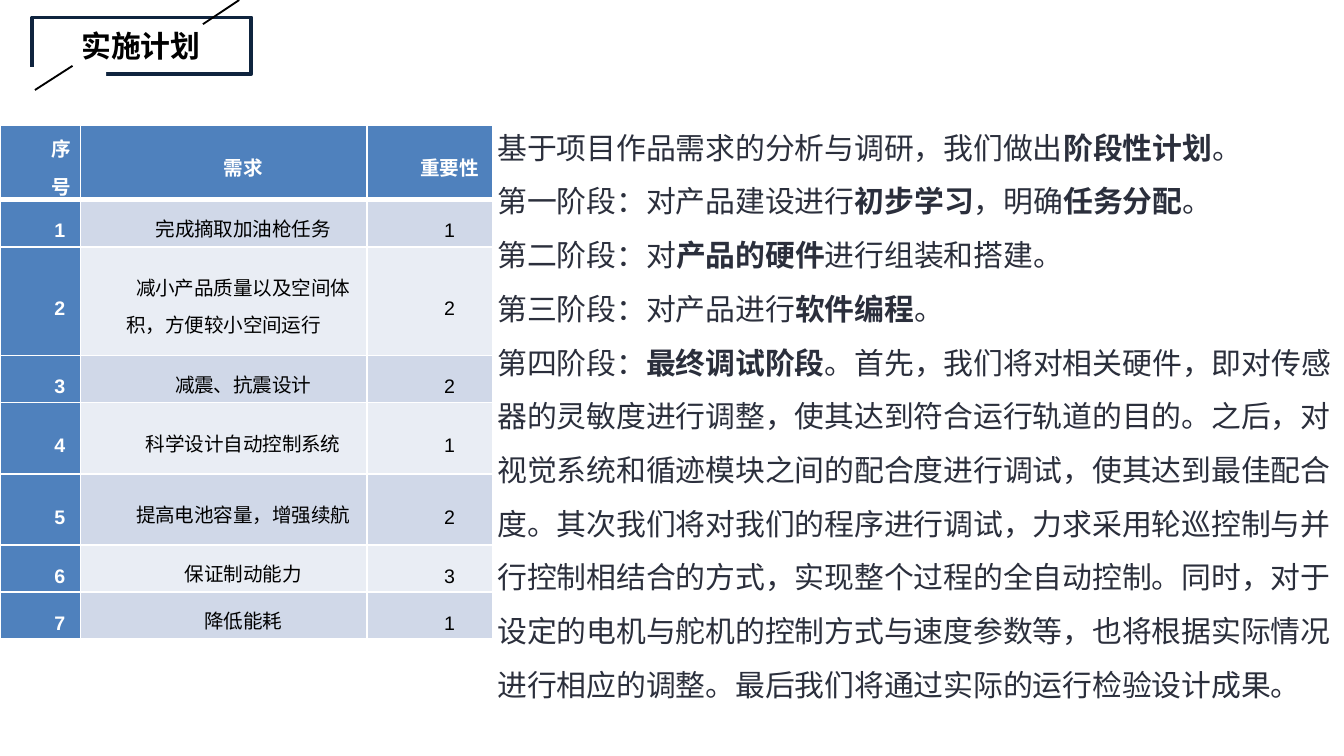
"""Build the implementation plan slide with its table of needs."""
from lxml.etree import SubElement
from pptx import Presentation
from pptx.dml.color import RGBColor
from pptx.enum.shapes import MSO_CONNECTOR, MSO_SHAPE
from pptx.enum.text import MSO_ANCHOR, MSO_AUTO_SIZE, PP_ALIGN
from pptx.oxml.ns import qn
from pptx.util import Inches, Pt

NAVY = RGBColor(0x0F, 0x24, 0x3E)
BLUE = RGBColor(0x4F, 0x81, 0xBD)
DARK = RGBColor(0xD0, 0xD8, 0xE8)
LIGHT = RGBColor(0xE9, 0xED, 0xF4)
INK = RGBColor(0x2B, 0x2F, 0x3C)
BLACK = RGBColor(0, 0, 0)
WHITE = RGBColor(0xFF, 0xFF, 0xFF)

COLS = [0.6, 2.13, 0.94]
TALLS = [0.53, 0.35, 0.81, 0.35, 0.53, 0.53, 0.35, 0.35]
NEEDS = [
    ("完成摘取加油枪任务", 1),
    ("减小产品质量以及空间体积，方便较小空间运行", 2),
    ("减震、抗震设计", 2),
    ("科学设计自动控制系统", 1),
    ("提高电池容量，增强续航", 2),
    ("保证制动能力", 3),
    ("降低能耗", 1),
]
ROWS = [("序号", "需求", "重要性")]
ROWS += [(str(n), need, str(rank)) for n, (need, rank) in enumerate(NEEDS, 1)]
PLAN = [
    "基于项目作品需求的分析与调研，我们做出*阶段性计划*。",
    "第一阶段：对产品建设进行*初步学习*，明确*任务分配*。",
    "第二阶段：对*产品的硬件*进行组装和搭建。",
    "第三阶段：对产品进行*软件编程*。",
    "第四阶段：*最终调试阶段*。首先，我们将对相关硬件，即对传感器的灵敏度进行调整，"
    "使其达到符合运行轨道的目的。之后，对视觉系统和循迹模块之间的配合度进行调试，"
    "使其达到最佳配合度。其次我们将对我们的程序进行调试，力求采用轮巡控制与并行控制相结合的方式，"
    "实现整个过程的全自动控制。同时，对于设定的电机与舵机的控制方式与速度参数等，"
    "也将根据实际情况进行相应的调整。最后我们将通过实际的运行检验设计成果。",
]


class Deck:
    """Hold the fonts and the current slide."""

    head = "Arial"
    body = "TeX Gyre Adventor"

    def __init__(self, slide):
        self.slide = slide

    def style(self, para, name, size, color, bold=None):
        font = para.font
        font.name, font.size, font.bold = name, Pt(size), bold
        font.color.rgb = color

    def rect(self, x, y, w, h, fill=None, line=None):
        box = self.slide.shapes.add_shape(
            MSO_SHAPE.RECTANGLE, Inches(x), Inches(y), Inches(w), Inches(h))
        box.shadow.inherit = False
        if fill is None:
            box.fill.background()
        else:
            box.fill.solid()
            box.fill.fore_color.rgb = fill
        if line is None:
            box.line.fill.background()
        else:
            box.line.color.rgb = line
            box.line.width = Pt(2)

    def stroke(self, x1, y1, x2, y2):
        line = self.slide.shapes.add_connector(
            MSO_CONNECTOR.STRAIGHT, Inches(x1), Inches(y1), Inches(x2), Inches(y2))
        line.line.color.rgb = BLACK
        line.line.width = Pt(1)
        SubElement(line._element.spPr, qn("a:effectLst"))

    def frame(self, x, y, w, h):
        box = self.slide.shapes.add_textbox(Inches(x), Inches(y), Inches(w), Inches(h))
        text = box.text_frame
        text.word_wrap = True
        text.auto_size = MSO_AUTO_SIZE.SHAPE_TO_FIT_TEXT
        return text

    def title(self, text, x, y, w, h):
        para = self.frame(x, y, w, h).paragraphs[0]
        para.text = text
        para.alignment = PP_ALIGN.CENTER
        self.style(para, self.head, 16, BLACK, True)

    def prose(self, items, x, y, w, h):
        text = self.frame(x, y, w, h)
        text.margin_left = text.margin_right = 0
        text.margin_top = text.margin_bottom = 0
        for i, item in enumerate(items):
            para = text.add_paragraph() if i else text.paragraphs[0]
            para.line_spacing = 1.5
            self.style(para, self.body, 16, INK)
            for n, part in enumerate(item.split("*")):
                run = para.add_run()
                run.text = part
                run.font.bold = n % 2 == 1

    def border(self, cell, top):
        props = cell._tc.get_or_add_tcPr()
        for i, side in enumerate(("lnL", "lnR", "lnT", "lnB")):
            width = Pt(3 if top and side == "lnB" else 1)
            line = props.makeelement(qn(f"a:{side}"), {"w": str(width)})
            fill = SubElement(line, qn("a:solidFill"))
            SubElement(fill, qn("a:srgbClr"), val=str(WHITE))
            props.insert(i, line)

    def cell(self, cell, text, r, c):
        lead = r == 0 or c == 0
        cell.fill.solid()
        cell.fill.fore_color.rgb = BLUE if lead else DARK if r % 2 else LIGHT
        cell.vertical_anchor = MSO_ANCHOR.MIDDLE
        cell.margin_left = cell.margin_right = Inches(0.07)
        cell.margin_top = cell.margin_bottom = 0
        para = cell.text_frame.paragraphs[0]
        para.text = text
        para.alignment = PP_ALIGN.RIGHT if r == c == 0 else PP_ALIGN.CENTER
        para.line_spacing = Pt(20)
        para._p.get_or_add_pPr().set("indent", str(Inches(0.29)))
        self.style(para, self.head, 10.5, WHITE if lead else BLACK, lead)
        self.border(cell, r == 0)

    def table(self, rows, cols, talls, x, y):
        grid = self.slide.shapes.add_table(
            len(rows), len(cols), Inches(x), Inches(y),
            Inches(sum(cols)), Inches(sum(talls))).table
        grid.first_col = True
        for col, width in zip(grid.columns, cols):
            col.width = Inches(width)
        for r, row in enumerate(rows):
            grid.rows[r].height = Inches(talls[r])
            for c, text in enumerate(row):
                self.cell(grid.cell(r, c), text, r, c)


def main():
    prs = Presentation()
    prs.slide_width = Inches(10)
    prs.slide_height = prs.slide_width * 9 // 16
    deck = Deck(prs.slides.add_slide(prs.slide_layouts[6]))
    deck.rect(0.24, 0.13, 1.63, 0.42, line=NAVY)
    deck.rect(0, 0.5, 0.79, 0.08, fill=WHITE)
    deck.stroke(1.78, 0, 1.51, 0.18)
    deck.stroke(0.54, 0.49, 0.26, 0.67)
    deck.title("实施计划", -0.05, 0.16, 2.2, 0.37)
    deck.prose(PLAN, 3.7, 0.83, 6.22, 4.79)
    deck.table(ROWS, COLS, TALLS, 0, 0.93)
    prs.save("out.pptx")


if __name__ == "__main__":
    main()
